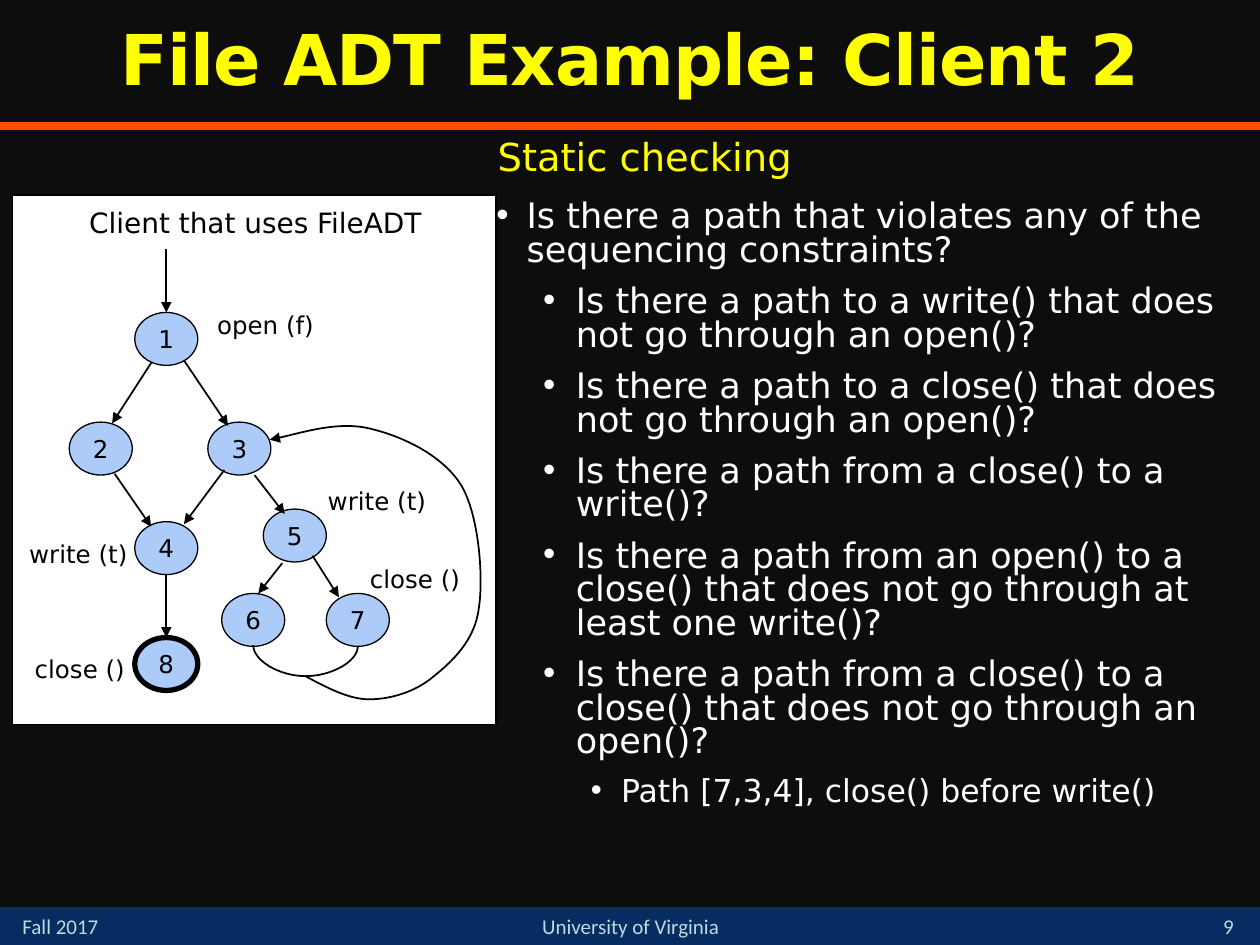
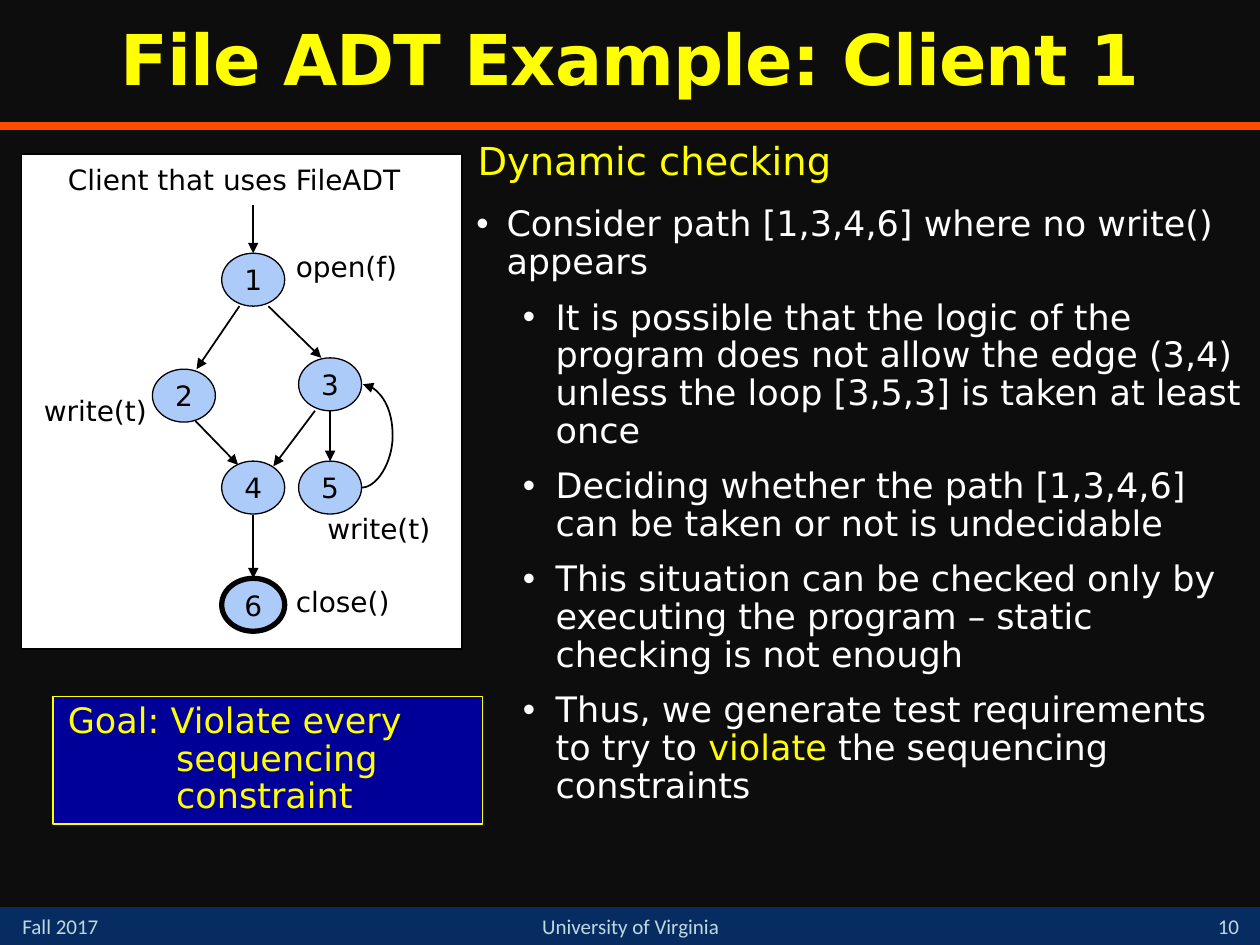
import pptx
import pptx.dml.color
import pptx.enum.shapes
import pptx.enum.text
import pptx.oxml
import pptx.oxml.ns
import pptx.util
from lxml import etree

RGB = pptx.dml.color.RGBColor
BLACK = RGB(0x00, 0x00, 0x00)
WHITE = RGB(0xFF, 0xFF, 0xFF)
YELLOW = RGB(0xFF, 0xFF, 0x00)
BACKDROP = RGB(0x0D, 0x0D, 0x0D)
FOOTER_BAND = RGB(0x07, 0x2C, 0x62)
FOOTER_TEXT = RGB(0xBD, 0xDA, 0xDF)
ORANGE = RGB(0xFF, 0x4C, 0x00)
NODE_BLUE = RGB(0xAC, 0xCB, 0xF9)
GOAL_BLUE = RGB(0x00, 0x00, 0x99)

Pt = pptx.util.Pt
qn = pptx.oxml.ns.qn
PRESET = pptx.enum.shapes.MSO_SHAPE
CONNECTOR = pptx.enum.shapes.MSO_CONNECTOR
ALIGN = pptx.enum.text.PP_ALIGN
ANCHOR = pptx.enum.text.MSO_ANCHOR

COLUMNS, ROWS = 100, 75
CELL = pptx.util.Inches(0.1)
NODE_SIZE = (5, 4.2)
LABEL_HEIGHT = 3.5

# level: (left margin, first-line indent, size, space before)
LIST_LEVELS = [(2.5, -2.4, 20, 10), (6.4, -2.6, 20, 7), (10, -2.4, 18, 7)]


def cells(*counts):
    return [round(count * CELL) for count in counts]


class Deck:
    """Holds the shared style and the slide being drawn; lengths are in grid cells."""

    font = "DejaVu Sans"
    footer_font = "Calibri"

    def __init__(self):
        self.presentation = pptx.Presentation()
        self.presentation.slide_width, self.presentation.slide_height = cells(COLUMNS, ROWS)
        self.slide = None

    def new_slide(self, title, number):
        layout = self.presentation.slide_layouts[1]
        self.slide = self.presentation.slides.add_slide(layout)
        self.slide.background.fill.solid()
        self.slide.background.fill.fore_color.rgb = BACKDROP
        self.box((0, 72, COLUMNS, 3), FOOTER_BAND)
        self.line((0, 10), (COLUMNS, 10), ORANGE, 4.5, arrow=False)
        footer = dict(size=12, color=FOOTER_TEXT, font=self.footer_font)
        self.label("Fall 2017", (0.8, 72, 11.7, 3), **footer)
        self.label(number, (95, 71.7, 5, 3.3), align=ALIGN.CENTER,
                   anchor=ANCHOR.BOTTOM, **footer)
        self.label("University of Virginia", (36.7, 72, 26.7, 3),
                   align=ALIGN.CENTER, **footer)
        self.title(title)

    def place(self, shape, area):
        shape.left, shape.top, shape.width, shape.height = cells(*area)

    def styled_run(self, paragraph, text, size, color, font=None, bold=False):
        run = paragraph.add_run()
        run.text = text
        run.font.name = font or self.font
        run.font.size = Pt(size)
        run.font.bold = bold
        run.font.color.rgb = color
        return run

    def indent(self, paragraph, margin, first_line, bullet=None):
        properties = paragraph._p.get_or_add_pPr()
        margin, first_line = cells(margin, first_line)
        properties.set("marL", str(margin))
        properties.set("indent", str(first_line))
        if bullet:
            color = etree.SubElement(properties, qn("a:buClr"))
            etree.SubElement(color, qn("a:srgbClr")).set("val", str(WHITE))
            etree.SubElement(properties, qn("a:buChar")).set("char", bullet)
        else:
            etree.SubElement(properties, qn("a:buNone"))

    def title(self, text):
        title = self.slide.shapes.title
        self.place(title, (0, 0, COLUMNS, 10))
        title.text_frame.vertical_anchor = ANCHOR.MIDDLE
        paragraph = title.text_frame.paragraphs[0]
        paragraph.alignment = ALIGN.CENTER
        paragraph.line_spacing = 0.9
        run = self.styled_run(paragraph, text, 40, YELLOW, bold=True)
        run.font._element.set("spc", "-50")

    def checklist(self, left, heading, items, spacing):
        """Fill the body with a heading and items of (level, (text, color), ...)."""
        body = self.slide.placeholders[1]
        self.place(body, (left, 10.8, 63.3, 59.2))
        frame = body.text_frame
        frame.auto_size = pptx.enum.text.MSO_AUTO_SIZE.NONE
        frame.vertical_anchor = ANCHOR.TOP
        first = frame.paragraphs[0]
        self.indent(first, 0.2, 0)
        self.styled_run(first, heading, 22, YELLOW)
        for level, *runs in items:
            margin, first_line, size, before = LIST_LEVELS[level]
            paragraph = frame.add_paragraph()
            paragraph.level = level
            self.indent(paragraph, margin, first_line, "•")
            paragraph.space_before = Pt(before)
            for text, color in runs:
                self.styled_run(paragraph, text, size, color)
        for paragraph in frame.paragraphs:
            paragraph.line_spacing = spacing
            paragraph.space_after = Pt(3)
        first.space_before = Pt(0)

    def box(self, area, fill, outline=None, width=1, preset=PRESET.RECTANGLE):
        shape = self.slide.shapes.add_shape(preset, *cells(*area))
        shape.shadow.inherit = False
        shape.fill.solid()
        shape.fill.fore_color.rgb = fill
        if outline is None:
            shape.line.fill.background()
        else:
            shape.line.color.rgb = outline
            shape.line.width = Pt(width)
        return shape

    def label(self, text, area, size, color=BLACK, align=ALIGN.LEFT,
              anchor=ANCHOR.TOP, font=None, wrap=True):
        frame = self.slide.shapes.add_textbox(*cells(*area)).text_frame
        frame.word_wrap = wrap
        frame.vertical_anchor = anchor
        frame.paragraphs[0].alignment = align
        self.styled_run(frame.paragraphs[0], text, size, color, font)

    def node(self, name, corner, size, final=False):
        oval = self.box((*corner, *NODE_SIZE), NODE_BLUE, BLACK,
                        3 if final else 0.75, PRESET.OVAL)
        frame = oval.text_frame
        frame.word_wrap = False
        frame.margin_left = frame.margin_right = 0
        frame.margin_top = frame.margin_bottom = 0
        frame.vertical_anchor = ANCHOR.MIDDLE
        frame.paragraphs[0].alignment = ALIGN.CENTER
        self.styled_run(frame.paragraphs[0], name, size, BLACK)

    def add_arrowhead(self, shape):
        stroke = shape.element.spPr.find(qn("a:ln"))
        etree.SubElement(stroke, qn("a:tailEnd")).set("type", "triangle")

    def line(self, start, end, color=BLACK, width=1, arrow=True,
             kind=CONNECTOR.STRAIGHT):
        connector = self.slide.shapes.add_connector(kind, *cells(*start, *end))
        connector.line.color.rgb = color
        connector.line.width = Pt(width)
        if arrow:
            self.add_arrowhead(connector)
        etree.SubElement(connector.element.spPr, qn("a:effectLst"))
        return connector

    def loop(self, start, end, bulge, arrow=True, turn=0):
        """Draw a near-vertical connector bulging sideways, turned by some degrees."""
        connector = self.line(start, end, arrow=arrow, kind=CONNECTOR.CURVE)
        properties = connector.element.spPr
        properties.find(qn("a:xfrm")).set("rot", str(turn * 60000))
        guide = etree.SubElement(properties.find(".//" + qn("a:avLst")), qn("a:gd"))
        share = round(bulge / abs(end[0] - start[0]) * 100000)
        guide.set("name", "adj1")
        guide.set("fmla", f"val {share}")

    def curved_arrow(self, start, points):
        """Draw cubic curves, each given by two control points and an end."""
        builder = self.slide.shapes.build_freeform(*cells(*start))
        builder.add_line_segments([cells(*point) for point in points], close=False)
        shape = builder.convert_to_shape()
        outline = shape.element.find(".//" + qn("a:path"))
        steps = outline.findall(qn("a:lnTo"))
        for first in range(0, len(steps), 3):
            curve = etree.SubElement(outline, qn("a:cubicBezTo"))
            for step in steps[first:first + 3]:
                curve.append(step[0])
                outline.remove(step)
        shape.shadow.inherit = False
        shape.fill.background()
        shape.line.color.rgb = BLACK
        shape.line.width = Pt(1)
        self.add_arrowhead(shape)

    def flow_graph(self, panel, caption_at, nodes, final, edges, calls, size, align):
        self.box(panel, WHITE, BLACK)
        self.label("Client that uses FileADT", (*caption_at, 28.9, LABEL_HEIGHT),
                   16, wrap=False)
        for name, corner in nodes.items():
            self.node(name, corner, size, name == final)
        for start, end in edges:
            self.line(start, end)
        for call, left, top, width in calls:
            self.label(call, (left, top, width, LABEL_HEIGHT), size, align=align)

    def goal(self, text, area):
        frame = self.box(area, GOAL_BLUE, YELLOW, 0.75).text_frame
        frame.word_wrap = True
        frame.vertical_anchor = ANCHOR.TOP
        paragraph = frame.paragraphs[0]
        self.indent(paragraph, 8.8, -8.6)
        paragraph.alignment = ALIGN.LEFT
        paragraph.line_spacing = 0.9
        self.styled_run(paragraph, text, 20, YELLOW)


def static_checking(deck):
    deck.new_slide("File ADT Example: Client 2", "9")
    questions = [
        (0, "Is there a path that violates any of the sequencing constraints?"),
        (1, "Is there a path to a write() that does not go through an open()?"),
        (1, "Is there a path to a close() that does not go through an open()?"),
        (1, "Is there a path from a close() to a write()?"),
        (1, "Is there a path from an open() to a close() that does not go through "
            "at least one write()?"),
        (1, "Is there a path from a close() to a close() that does not go through "
            "an open()?"),
        (2, "Path [7,3,4], close() before write()"),
    ]
    deck.checklist(38.3, "Static checking",
                   [(level, (text, WHITE)) for level, text in questions], 0.8)
    deck.flow_graph(
        panel=(1, 15.5, 38.4, 42), caption_at=(6.1, 15.8),
        nodes={"1": (10.7, 24.8), "2": (5.5, 33.5), "3": (16.5, 33.5),
               "4": (10.7, 41.4), "5": (20.9, 40.4), "6": (17.6, 47.1),
               "7": (25.9, 47.1), "8": (10.7, 50.6)},
        final="8",
        edges=[((13.2, 19.8), (13.2, 24.8)), ((12, 28.8), (8.9, 33.6)),
               ((14.6, 28.6), (18.1, 33.8)), ((9.1, 37.6), (12, 41.8)),
               ((17.8, 37.3), (14.6, 41.6)), ((20.2, 37.7), (22.6, 40.8)),
               ((13.2, 45.6), (13.2, 50.6)), ((22.4, 44.7), (20.5, 47.1)),
               ((24.8, 44.1), (26.9, 47.4))],
        calls=[("open (f)", 14.2, 24.1, 11.7), ("write (t)", 1, 42.3, 10.1),
               ("write (t)", 23.3, 38.1, 11.5), ("close ()", 25.8, 44.3, 11.7),
               ("close ()", -0.8, 51.4, 11.7)],
        size=14, align=ALIGN.RIGHT)
    deck.loop((24.3, 47.1), (24.2, 55.4), 2.5, arrow=False, turn=270)
    deck.curved_arrow((24.3, 53.7), [
        (26, 54.6), (27.7, 55.5), (29.3, 55.5),
        (31, 55.5), (33, 54.9), (34.4, 53.7),
        (35.9, 52.5), (37.7, 50.8), (38, 48.3),
        (38.4, 45.8), (38, 40.8), (36.6, 38.5),
        (35.1, 36.1), (31.9, 34.6), (29.3, 34),
        (26.8, 33.4), (22.7, 34.7), (21.4, 34.9)])


def dynamic_checking(deck):
    deck.new_slide("File ADT Example: Client 1", "10")
    deck.checklist(36.7, "Dynamic checking", [
        (0, ("Consider path [1,3,4,6] where no write() appears", WHITE)),
        (1, ("It is possible that the logic of the program does not allow the edge "
             "(3,4) unless the loop [3,5,3] is taken at least once", WHITE)),
        (1, ("Deciding whether the path [1,3,4,6] can be taken or not is undecidable",
             WHITE)),
        (1, ("This situation can be checked only by executing the program – static "
             "checking is not enough", WHITE)),
        (1, ("Thus, we generate test requirements to try to ", WHITE),
            ("violate", YELLOW), (" the sequencing constraints", WHITE)),
    ], 0.9)
    deck.flow_graph(
        panel=(1.7, 12.2, 35, 39.3), caption_at=(4.4, 12.4),
        nodes={"1": (17.6, 20.1), "2": (12.1, 29.3), "3": (23.7, 28.4),
               "4": (17.6, 36.6), "5": (23.7, 36.6), "6": (17.6, 45.9)},
        final="6",
        edges=[((20.1, 16.3), (20.1, 20.1)), ((19, 24.3), (15.6, 29.3)),
               ((21.3, 24.3), (25.5, 28.4)), ((15.5, 33.4), (18.9, 36.9)),
               ((25, 32.6), (21.7, 37)), ((26.2, 32.6), (26.2, 36.6)),
               ((20.1, 40.9), (20.1, 45.9))],
        calls=[("open(f)", 22.5, 19.3, 11.7), ("write(t)", 2.5, 30.7, 11.7),
               ("write(t)", 25, 40.1, 11.7), ("close()", 22.5, 45.9, 11.7)],
        size=16, align=ALIGN.LEFT)
    deck.loop((28.7, 38.7), (28.8, 30.5), 2.5)
    deck.goal("Goal: Violate every sequencing constraint", (4.2, 55.3, 34.1, 10.1))


def main():
    deck = Deck()
    static_checking(deck)
    dynamic_checking(deck)
    deck.presentation.save("out.pptx")


if __name__ == "__main__":
    main()
